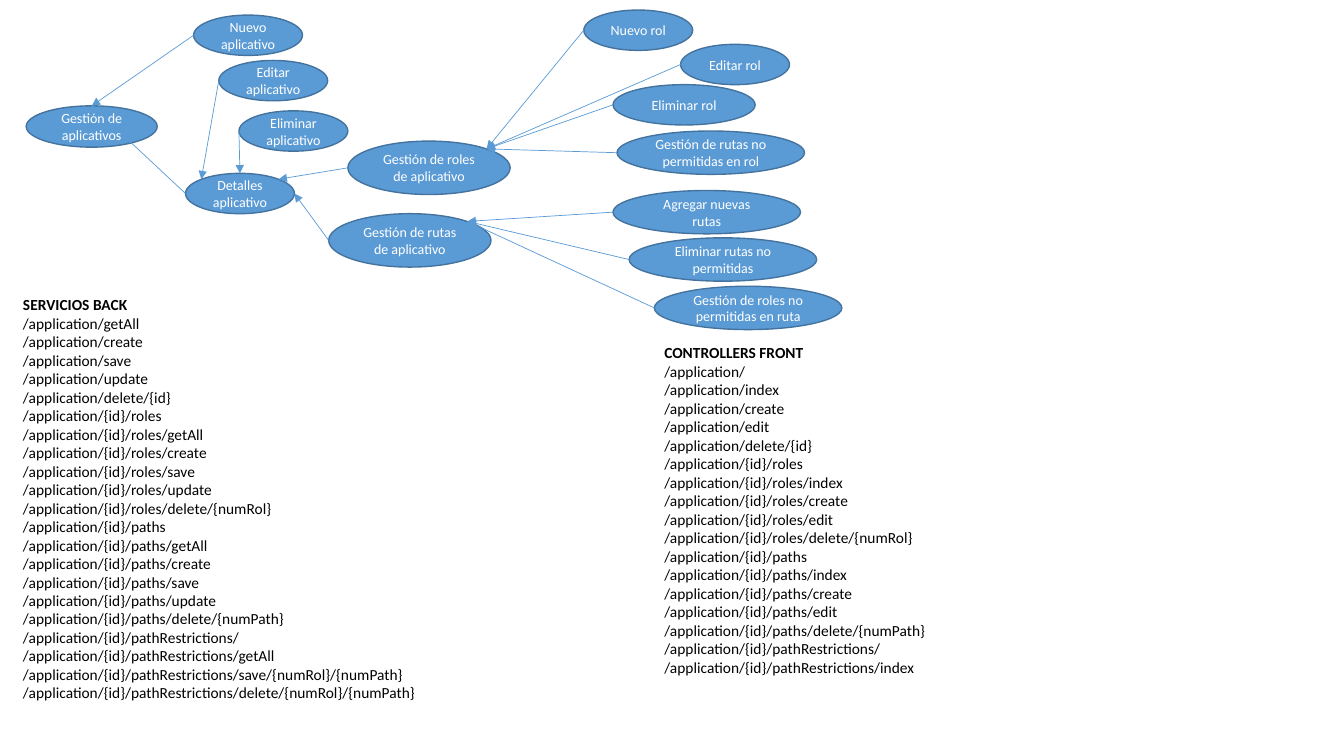
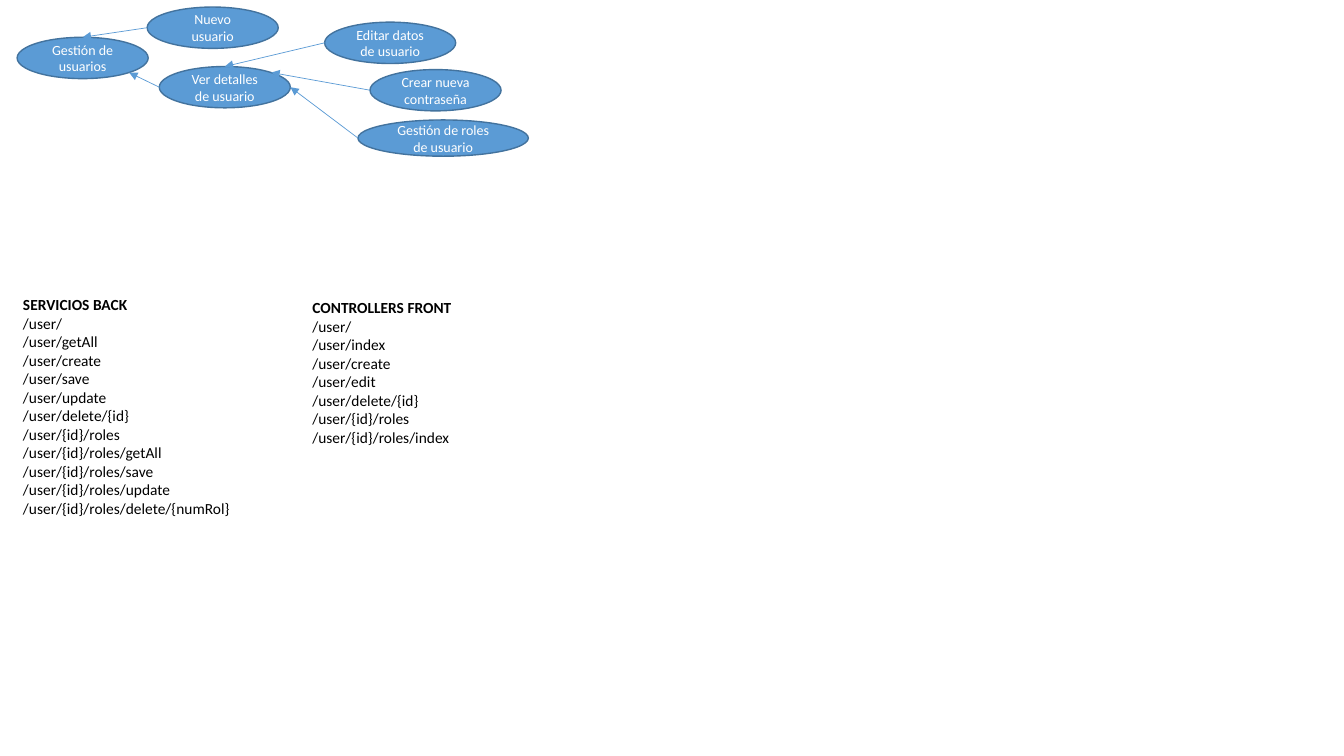
"""Build two slides that map screens to their back and front routes."""
import pptx
import pptx.util
import pptx.dml.color
import pptx.enum.shapes
import pptx.enum.text
import pptx.oxml
import pptx.oxml.ns

Inches, Pt = pptx.util.Inches, pptx.util.Pt
RGBColor = pptx.dml.color.RGBColor
BLUE = RGBColor(0x5B, 0x9B, 0xD5)
EDGE = RGBColor(0x43, 0x73, 0x9E)
WHITE = RGBColor(255, 255, 255)
BLACK = RGBColor(0, 0, 0)
FONT = "Calibri"
DIAG = 0.71
SITES = {"top": (0, -1), "right": (1, 0), "nw": (-DIAG, -DIAG),
         "ne": (DIAG, -DIAG), "se": (DIAG, DIAG)}

SMALL = (1.08, 0.4)
USUAL = (1.3, 0.41)
LARGE = (1.61, 0.53)
WIDE = (1.86, 0.43)

APPS = "Gestión de aplicativos"
APP = "Detalles aplicativo"
ROLES = "Gestión de roles de aplicativo"
PATHS = "Gestión de rutas de aplicativo"
USERS = "Gestión de usuarios"
USER = "Ver detalles de usuario"

SLIDES = [
    {
        "nodes": [
            (APPS, (0.26, 1.05), USUAL),
            ("Nuevo aplicativo", (1.92, 0.15), SMALL),
            ("Editar aplicativo", (2.17, 0.6), SMALL),
            ("Eliminar aplicativo", (2.37, 1.1), SMALL),
            (APP, (1.84, 1.72), SMALL),
            (ROLES, (3.45, 1.4), LARGE),
            (PATHS, (3.26, 2.12), LARGE),
            ("Nuevo rol", (5.79, 0.1), SMALL),
            ("Editar rol", (6.75, 0.44), SMALL),
            ("Eliminar rol", (6.08, 0.84), (1.41, 0.4)),
            ("Gestión de rutas no permitidas en rol", (6.12, 1.3), WIDE),
            ("Agregar nuevas rutas", (6.08, 1.89), WIDE),
            ("Eliminar rutas no permitidas", (6.24, 2.36), WIDE),
            ("Gestión de roles no permitidas en ruta", (6.49, 2.84), WIDE),
        ],
        "links": [
            ("Nuevo aplicativo", APPS, "top"),
            ("Editar aplicativo", APP, "nw"),
            ("Eliminar aplicativo", APP, "top"),
            (APP, APPS, "top"),
            (ROLES, APP, "ne"),
            (PATHS, APP, "right"),
            ("Nuevo rol", ROLES, "ne"),
            ("Editar rol", ROLES, "ne"),
            ("Eliminar rol", ROLES, "ne"),
            ("Gestión de rutas no permitidas en rol", ROLES, "ne"),
            ("Agregar nuevas rutas", PATHS, "ne"),
            ("Eliminar rutas no permitidas", PATHS, "ne"),
            ("Gestión de roles no permitidas en ruta", PATHS, "ne"),
        ],
        "lists": [
            ("SERVICIOS BACK", (0.13, 2.88), 4.73, [
                "/application/getAll",
                "/application/create",
                "/application/save",
                "/application/update",
                "/application/delete/{id}",
                "/application/{id}/roles",
                "/application/{id}/roles/getAll",
                "/application/{id}/roles/create",
                "/application/{id}/roles/save",
                "/application/{id}/roles/update",
                "/application/{id}/roles/delete/{numRol}",
                "/application/{id}/paths",
                "/application/{id}/paths/getAll",
                "/application/{id}/paths/create",
                "/application/{id}/paths/save",
                "/application/{id}/paths/update",
                "/application/{id}/paths/delete/{numPath}",
                "/application/{id}/pathRestrictions/",
                "/application/{id}/pathRestrictions/getAll",
                "/application/{id}/pathRestrictions/save/{numRol}/{numPath}",
                "/application/{id}/pathRestrictions/delete/{numRol}/{numPath}",
            ]),
            ("CONTROLLERS FRONT", (6.49, 3.36), 3.8, [
                "/application/",
                "/application/index",
                "/application/create",
                "/application/edit",
                "/application/delete/{id}",
                "/application/{id}/roles",
                "/application/{id}/roles/index",
                "/application/{id}/roles/create",
                "/application/{id}/roles/edit",
                "/application/{id}/roles/delete/{numRol}",
                "/application/{id}/paths",
                "/application/{id}/paths/index",
                "/application/{id}/paths/create",
                "/application/{id}/paths/edit",
                "/application/{id}/paths/delete/{numPath}",
                "/application/{id}/pathRestrictions/",
                "/application/{id}/pathRestrictions/index",
            ]),
        ],
    },
    {
        "nodes": [
            (USERS, (0.17, 0.37), USUAL),
            ("Nuevo usuario", (1.46, 0.07), USUAL),
            ("Editar datos de usuario", (3.22, 0.22), USUAL),
            ("Crear nueva contraseña", (3.67, 0.69), USUAL),
            ("Gestión de roles de usuario", (3.55, 1.19), (1.69, 0.36)),
            (USER, (1.58, 0.66), USUAL),
        ],
        "links": [
            ("Nuevo usuario", USERS, "top"),
            ("Editar datos de usuario", USER, "top"),
            ("Crear nueva contraseña", USER, "ne"),
            (USER, USERS, "se"),
            ("Gestión de roles de usuario", USER, "right"),
        ],
        "lists": [
            ("SERVICIOS BACK", (0.13, 2.88), 2.88, [
                "/user/",
                "/user/getAll",
                "/user/create",
                "/user/save",
                "/user/update",
                "/user/delete/{id}",
                "/user/{id}/roles",
                "/user/{id}/roles/getAll",
                "/user/{id}/roles/save",
                "/user/{id}/roles/update",
                "/user/{id}/roles/delete/{numRol}",
            ]),
            ("CONTROLLERS FRONT", (3, 2.91), 1.77, [
                "/user/",
                "/user/index",
                "/user/create",
                "/user/edit",
                "/user/delete/{id}",
                "/user/{id}/roles",
                "/user/{id}/roles/index",
            ]),
        ],
    },
]


def style(para, size, color, bold=False):
    """Set the font of a paragraph."""
    font = para.font
    font.name, font.size, font.bold = FONT, Pt(size), bold
    font.color.rgb = color


def add_node(slide, text, spot, size):
    """Draw one screen as a labelled ellipse."""
    node = slide.shapes.add_shape(
        pptx.enum.shapes.MSO_SHAPE.OVAL, *map(Inches, spot + size))
    node.shadow.inherit = False
    node.fill.solid()
    node.fill.fore_color.rgb = BLUE
    node.line.color.rgb = EDGE
    node.line.width = Pt(1)
    frame = node.text_frame
    frame.word_wrap = True
    frame.vertical_anchor = pptx.enum.text.MSO_ANCHOR.MIDDLE
    frame.text = text
    para = frame.paragraphs[0]
    para.alignment = pptx.enum.text.PP_ALIGN.CENTER
    style(para, 10, WHITE)
    return node


def add_link(slide, start, goal, site):
    """Draw an arrow from the left of one node to a site on another."""
    dx, dy = SITES[site]
    link = slide.shapes.add_connector(
        pptx.enum.shapes.MSO_CONNECTOR.STRAIGHT,
        start.left, start.top + start.height // 2,
        goal.left + int(goal.width * (1 + dx) / 2),
        goal.top + int(goal.height * (1 + dy) / 2))
    link.line.color.rgb = BLUE
    link.line.width = Pt(0.5)
    make = pptx.oxml.parse_xml
    space = pptx.oxml.ns.nsdecls("a")
    link.line._get_or_add_ln().append(
        make(f'<a:tailEnd {space} type="triangle"/>'))
    link._element.spPr.append(make(f"<a:effectLst {space}/>"))


def add_list(slide, head, spot, height, routes):
    """Write a bold heading and its routes."""
    box = slide.shapes.add_textbox(*map(Inches, spot + (5.74, height)))
    frame = box.text_frame
    frame.word_wrap = True
    frame.auto_size = pptx.enum.text.MSO_AUTO_SIZE.SHAPE_TO_FIT_TEXT
    frame.text = "\n".join([head] + routes)
    for row, para in enumerate(frame.paragraphs):
        style(para, 11, BLACK, row == 0)


deck = pptx.Presentation()
deck.slide_width, deck.slide_height = Inches(13.33), Inches(7.5)
for page in SLIDES:
    slide = deck.slides.add_slide(deck.slide_layouts[6])
    nodes = {node[0]: add_node(slide, *node) for node in page["nodes"]}
    for start, goal, site in page["links"]:
        add_link(slide, nodes[start], nodes[goal], site)
    for block in page["lists"]:
        add_list(slide, *block)
deck.save("out.pptx")
